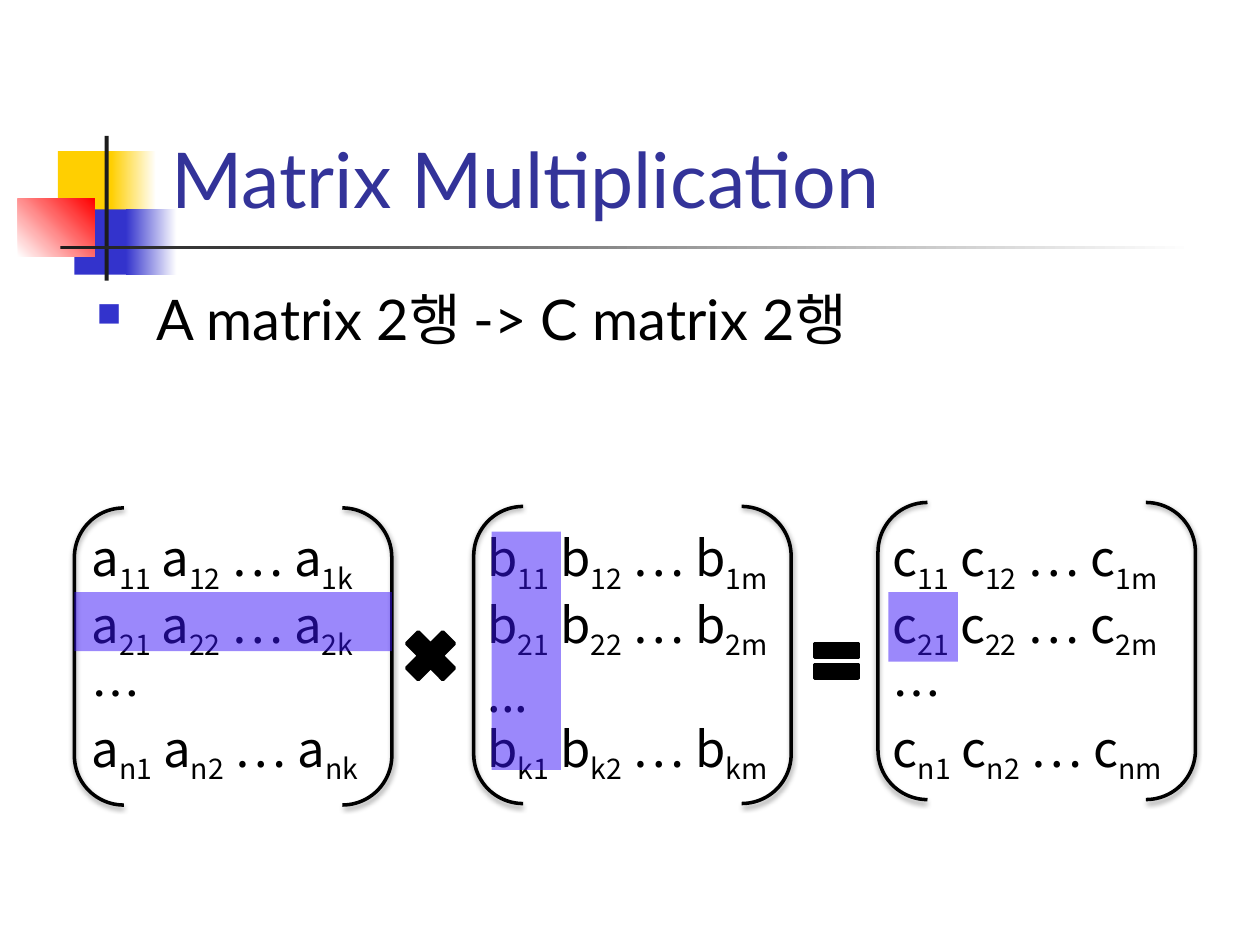
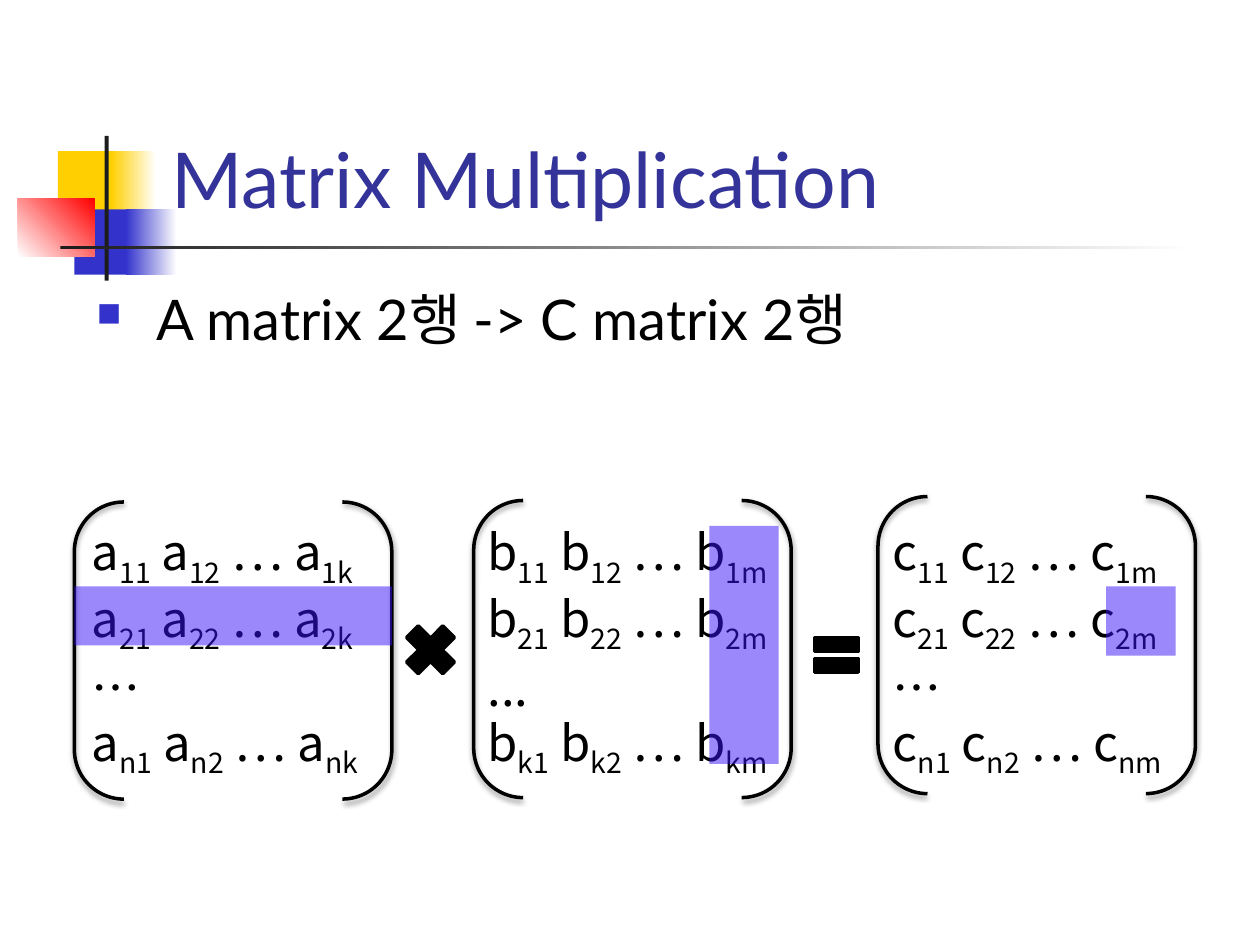
import dataclasses
import typing

import lxml.etree
import pptx
import pptx.dml.color
import pptx.enum.shapes
import pptx.enum.text
import pptx.oxml.ns
import pptx.util

Cm = pptx.util.Cm
Pt = pptx.util.Pt
RGBColor = pptx.dml.color.RGBColor
Kind = pptx.enum.shapes.MSO_SHAPE
Anchor = pptx.enum.text.MSO_ANCHOR
qn = pptx.oxml.ns.qn

YELLOW = RGBColor(0xFF, 0xCF, 0x01)
BLUE = RGBColor(0x33, 0x33, 0xCC)
RED = RGBColor(0xFF, 0x00, 0x00)
CHARCOAL = RGBColor(0x1C, 0x1C, 0x1C)
WHITE = RGBColor(0xFF, 0xFF, 0xFF)
BLACK = RGBColor(0x00, 0x00, 0x00)
TITLE_BLUE = RGBColor(0x33, 0x33, 0x99)
HIGHLIGHT = RGBColor(0x38, 0x12, 0xF8)

LATIN_FONT = "Lato"
KOREAN_FONT = "Noto Sans CJK KR"
TITLE_FORMAT = {"name": LATIN_FONT, "size": Pt(44)}
BODY_FORMAT = {"name": LATIN_FONT, "size": Pt(32)}
MATRIX_FORMAT = {"name": KOREAN_FONT, "size": Pt(28)}

MATRIX_WIDTH = 6.4
BRACKET_HEIGHT = 5.99
MATRIX_TEXT_TOP = 10.49
MATRIX_TEXT_HEIGHT = 5.05
ROW_HEIGHTS = (39, 38, 35, 36)


class Area(typing.NamedTuple):
    left: float
    top: float
    width: float
    height: float

    def moved(self, right: float = 0, down: float = 0) -> "Area":
        return self._replace(left=self.left + right, top=self.top + down)

    def lengths(self) -> list[pptx.util.Length]:
        return [Cm(value) for value in self]


@dataclasses.dataclass(frozen=True)
class Band:
    area: Area
    color: RGBColor
    fade_to: RGBColor | None = None
    angle: float = 0


@dataclasses.dataclass(frozen=True)
class Matrix:
    letter: str
    last_row: str
    last_column: str
    ellipsis: str
    text_left: float
    bracket_left: float
    bracket_top: float


@dataclasses.dataclass(frozen=True)
class Step:
    lift: float
    column_shift: float


BANDS = (
    Band(Area(1.17, 3.05, 1.22, 1.32), YELLOW),
    Band(Area(2.24, 3.05, 0.91, 1.32), YELLOW, WHITE),
    Band(Area(1.5, 4.22, 1.17, 1.32), BLUE),
    Band(Area(2.54, 4.22, 1.02, 1.32), BLUE, WHITE),
    Band(Area(0.36, 4.01, 1.55, 1.17), WHITE, RED, 45),
    Band(Area(2.11, 2.74, 0.08, 2.92), CHARCOAL),
    Band(Area(1.22, 4.95, 22.86, 0.08), CHARCOAL, WHITE),
)
MATRICES = (
    Matrix("a", "n", "k", "…", 1.6, 1.5, 10.24),
    Matrix("b", "k", "m", "...", 9.58, 9.55, 10.21),
    Matrix("c", "n", "m", "…", 17.75, 17.7, 10.13),
)
OPERATORS = (
    (Kind.MATH_MULTIPLY, Area(7.98, 12.52, 1.4, 1.4)),
    (Kind.MATH_EQUAL, Area(16.26, 12.73, 1.19, 1.19)),
)
ROW_OF_A = Area(1.5, 11.94, MATRIX_WIDTH, 1.19)
COLUMN_OF_B = Area(9.91, 10.72, 1.4, 4.8)
CELL_OF_C = Area(17.91, 11.94, 1.4, 1.4)
STEPS = (Step(0, 0), Step(-0.12, 4.39))


def add_block(page, kind: Kind, area: Area, color: RGBColor | None = None):
    shape = page.shapes.add_shape(kind, *area.lengths())
    shape.shadow.inherit = False
    shape.line.fill.background()
    if color is None:
        shape.fill.background()
    else:
        shape.fill.solid()
        shape.fill.fore_color.rgb = color
    return shape


def set_outline(shape) -> None:
    shape.line.color.rgb = BLACK
    shape.line.width = Pt(2)


def add_band(page, band: Band) -> None:
    shape = add_block(page, Kind.RECTANGLE, band.area, band.color)
    if band.fade_to is not None:
        shape.fill.gradient()
        shape.fill.gradient_angle = band.angle
        for stop, color in zip(shape.fill.gradient_stops, (band.color, band.fade_to)):
            stop.color.rgb = color


def add_text_box(page, area: Area, anchor: Anchor = Anchor.TOP):
    box = page.shapes.add_textbox(*area.lengths())
    box.text_frame.word_wrap = True
    box.text_frame.vertical_anchor = anchor
    return box.text_frame


def add_span(para, text: str, formats: dict, color: RGBColor, subscript: bool = False) -> None:
    span = para.add_run()
    span.text = text
    for name, value in formats.items():
        setattr(span.font, name, value)
    span.font.color.rgb = color
    properties = span._r.get_or_add_rPr()
    lxml.etree.SubElement(properties, qn("a:ea"), typeface=KOREAN_FONT)
    if subscript:
        properties.set("baseline", "-25000")


def add_bullet(para) -> None:
    properties = para._p.get_or_add_pPr()
    properties.set("marL", str(Cm(0.95)))
    properties.set("indent", str(-Cm(0.95)))
    color = lxml.etree.SubElement(properties, qn("a:buClr"))
    lxml.etree.SubElement(color, qn("a:srgbClr"), val=str(BLUE))
    lxml.etree.SubElement(properties, qn("a:buSzPct"), val="60000")
    lxml.etree.SubElement(properties, qn("a:buChar"), char="■")


def add_heading(page) -> None:
    title = add_text_box(page, Area(3.2, 0.58, 21.64, 4.06), Anchor.BOTTOM)
    add_span(title.paragraphs[0], "Matrix Multiplication", TITLE_FORMAT, TITLE_BLUE)
    body = add_text_box(page, Area(1.7, 5.61, 21.59, 11.43))
    add_bullet(body.paragraphs[0])
    add_span(body.paragraphs[0], " A matrix 2행 -> C matrix 2행", BODY_FORMAT, BLACK)


def add_matrix_text(page, matrix: Matrix, lift: float) -> None:
    area = Area(matrix.text_left, MATRIX_TEXT_TOP + lift, MATRIX_WIDTH, MATRIX_TEXT_HEIGHT)
    frame = add_text_box(page, area)
    for index, (row, height) in enumerate(zip(("1", "2", None, matrix.last_row), ROW_HEIGHTS)):
        para = frame.add_paragraph() if index else frame.paragraphs[0]
        para.line_spacing = Pt(height)
        if row is None:
            add_span(para, matrix.ellipsis, MATRIX_FORMAT, BLACK)
            continue
        for lead, column in (("", "1"), (" ", "2"), (" … ", matrix.last_column)):
            add_span(para, lead + matrix.letter, MATRIX_FORMAT, BLACK)
            add_span(para, row + column, MATRIX_FORMAT, BLACK, subscript=True)


def add_brackets(page, matrix: Matrix, lift: float) -> None:
    area = Area(matrix.bracket_left, matrix.bracket_top + lift, MATRIX_WIDTH, BRACKET_HEIGHT)
    shape = add_block(page, Kind.DOUBLE_BRACKET, area)
    set_outline(shape)
    effects = shape._element.spPr.find(qn("a:effectLst"))
    shadow = lxml.etree.SubElement(
        effects, qn("a:outerShdw"), blurRad=str(Pt(3.1)), dist=str(Pt(1.6)),
        dir="5400000", rotWithShape="0",
    )
    color = lxml.etree.SubElement(shadow, qn("a:srgbClr"), val=str(BLACK))
    lxml.etree.SubElement(color, qn("a:alpha"), val="38000")


def add_highlight(page, area: Area) -> None:
    shape = add_block(page, Kind.RECTANGLE, area, HIGHLIGHT)
    color = shape._element.spPr.find(qn("a:solidFill")).find(qn("a:srgbClr"))
    lxml.etree.SubElement(color, qn("a:alpha"), val="50000")


def add_page(deck, step: Step) -> None:
    page = deck.slides.add_slide(deck.slide_layouts[6])
    for band in BANDS:
        add_band(page, band)
    add_heading(page)
    for matrix in MATRICES:
        add_matrix_text(page, matrix, step.lift)
    for kind, area in OPERATORS:
        set_outline(add_block(page, kind, area.moved(down=step.lift), BLACK))
    for matrix in MATRICES:
        add_brackets(page, matrix, step.lift)
    add_highlight(page, ROW_OF_A.moved(down=step.lift))
    for area in (COLUMN_OF_B, CELL_OF_C):
        add_highlight(page, area.moved(step.column_shift, step.lift))


def main() -> None:
    deck = pptx.Presentation()
    deck.slide_width = Cm(25.4)
    deck.slide_height = Cm(19.05)
    for step in STEPS:
        add_page(deck, step)
    deck.save("out.pptx")


if __name__ == "__main__":
    main()
